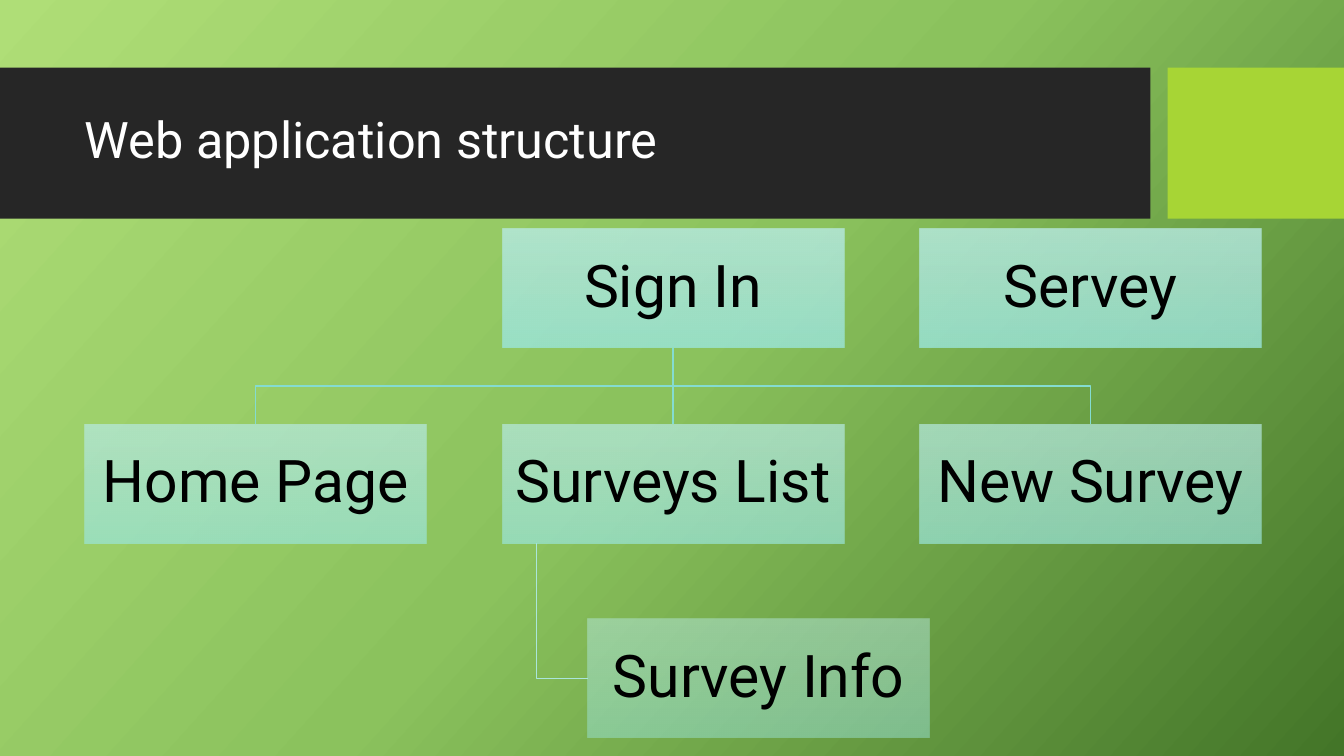
"""Build a slide showing the page structure of a web application."""
from lxml import etree
from pptx import Presentation
from pptx.dml.color import RGBColor
from pptx.enum.shapes import MSO_CONNECTOR, MSO_SHAPE
from pptx.enum.text import MSO_ANCHOR, MSO_AUTO_SIZE, PP_ALIGN
from pptx.oxml.ns import qn
from pptx.util import Inches, Pt

RECTANGLE = MSO_SHAPE.RECTANGLE
STRAIGHT = MSO_CONNECTOR.STRAIGHT
MIDDLE = MSO_ANCHOR.MIDDLE
NO_AUTOFIT = MSO_AUTO_SIZE.NONE
LEFT, CENTER = PP_ALIGN.LEFT, PP_ALIGN.CENTER

FONT = "Roboto"
COLORS = {
    "band": "262626",
    "accent": "A7D535",
    "title": "FFFFFF",
    "label": "000000",
    "main_link": "84DCD1",
    "sub_link": "AAE5DC",
}
BACKGROUND_STOPS = ("AFDE77", "8BC25D", "437528")
NODE_STOPS = ("B8EBE4", "AAE7DE", "9BE6DC")
NODE_WIDTH, NODE_HEIGHT = 3.39, 1.18
COLUMNS = [0.84 + 4.14 * column for column in range(3)]
ROWS = (2.27, 4.21, 6.14)
ROW_OPACITY = (80, 70, 50)
INFO_LEFT = 5.83
NODES = (
    ("Sign In", COLUMNS[1], 0),
    ("Home Page", COLUMNS[0], 1),
    ("Surveys List", COLUMNS[1], 1),
    ("Survey Info", INFO_LEFT, 2),
    ("New Survey", COLUMNS[2], 1),
    ("Servey", COLUMNS[2], 0),
)


def paint_gradient(fill, owner, stops, angle, opacity=100):
    """Fill with evenly spaced colour stops at a clockwise angle."""
    fill.gradient()
    gradient = next(owner.iter(qn("a:gradFill")))
    stop_list = gradient.find(qn("a:gsLst"))
    for stop in list(stop_list):
        stop_list.remove(stop)
    for index, color in enumerate(stops):
        position = 100000 * index // (len(stops) - 1)
        stop = etree.SubElement(stop_list, qn("a:gs"), pos=str(position))
        tint = etree.SubElement(stop, qn("a:srgbClr"), val=color)
        etree.SubElement(tint, qn("a:alpha"), val=str(opacity * 1000))
    gradient.find(qn("a:lin")).set("ang", str(angle * 60000))


def add_rectangle(page, left, top, width, height):
    """Add a rectangle without line or shadow."""
    box = page.shapes.add_shape(
        RECTANGLE, Inches(left), Inches(top), Inches(width), Inches(height))
    box.shadow.inherit = False
    box.line.fill.background()
    return box


def add_band(page, left, width, color):
    """Add a plain part of the title band."""
    box = add_rectangle(page, left, 0.67, width, 1.5)
    box.fill.solid()
    box.fill.fore_color.rgb = RGBColor.from_string(COLORS[color])


def write_text(frame, text, size, color, alignment):
    """Write one vertically centred paragraph."""
    frame.word_wrap = True
    frame.auto_size = NO_AUTOFIT
    frame.vertical_anchor = MIDDLE
    para = frame.paragraphs[0]
    para.text = text
    para.alignment = alignment
    para.line_spacing = 0.9
    para.font.name = FONT
    para.font.size = Pt(size)
    para.font.color.rgb = RGBColor.from_string(COLORS[color])


def set_title(page, text):
    """Place the title placeholder in front of the band."""
    title = page.shapes.title
    title.left, title.top = Inches(0.74), Inches(0.82)
    title.width, title.height = Inches(10.51), Inches(1.18)
    write_text(title.text_frame, text, 36, "title", LEFT)
    page.shapes._spTree.append(title._element)


def add_node(page, text, left, row):
    """Add a labelled page box, fainter on lower rows."""
    box = add_rectangle(page, left, ROWS[row], NODE_WIDTH, NODE_HEIGHT)
    paint_gradient(box.fill, box._element, NODE_STOPS, 90, ROW_OPACITY[row])
    frame = box.text_frame
    frame.margin_left = frame.margin_right = Inches(0.03)
    frame.margin_top = frame.margin_bottom = Inches(0.03)
    write_text(frame, text, 42, "label", CENTER)


def style_line(line, color):
    """Give a link its colour and width."""
    line.color.rgb = RGBColor.from_string(COLORS[color])
    line.width = Pt(1)


def add_elbow(page, points, color):
    """Add an open bent link through the points."""
    start, *others = [(Inches(x), Inches(y)) for x, y in points]
    builder = page.shapes.build_freeform(*start)
    builder.add_line_segments(others, close=False)
    elbow = builder.convert_to_shape()
    elbow.shadow.inherit = False
    elbow.fill.background()
    style_line(elbow.line, color)


def add_stem(page, x, top, bottom, color):
    """Add a straight vertical link."""
    stem = page.shapes.add_connector(
        STRAIGHT, Inches(x), Inches(top), Inches(x), Inches(bottom))
    style_line(stem.line, color)
    etree.SubElement(stem._element.spPr, qn("a:effectLst"))


def add_links(page):
    """Link the sign-in page to its children and the list to its detail."""
    home, center, new = [left + NODE_WIDTH / 2 for left in COLUMNS]
    top, bottom = ROWS[0] + NODE_HEIGHT, ROWS[1]
    middle = (top + bottom) / 2
    for child in (new, home):
        points = ((center, top), (center, middle),
                  (child, middle), (child, bottom))
        add_elbow(page, points, "main_link")
    add_stem(page, center, top, bottom, "main_link")
    branch = COLUMNS[1] + NODE_WIDTH / 10
    info_middle = ROWS[2] + NODE_HEIGHT / 2
    points = ((branch, ROWS[1] + NODE_HEIGHT), (branch, info_middle),
              (INFO_LEFT, info_middle))
    add_elbow(page, points, "sub_link")


def main():
    """Build and save the deck."""
    deck = Presentation()
    deck.slide_width, deck.slide_height = Inches(13.33), Inches(7.5)
    page = deck.slides.add_slide(deck.slide_layouts[5])
    paint_gradient(page.background.fill, page._element, BACKGROUND_STOPS, 42)
    add_band(page, 0, 11.41, "band")
    add_band(page, 11.58, 1.75, "accent")
    set_title(page, "Web application structure")
    add_links(page)
    for text, left, row in NODES:
        add_node(page, text, left, row)
    deck.save("out.pptx")


if __name__ == "__main__":
    main()
